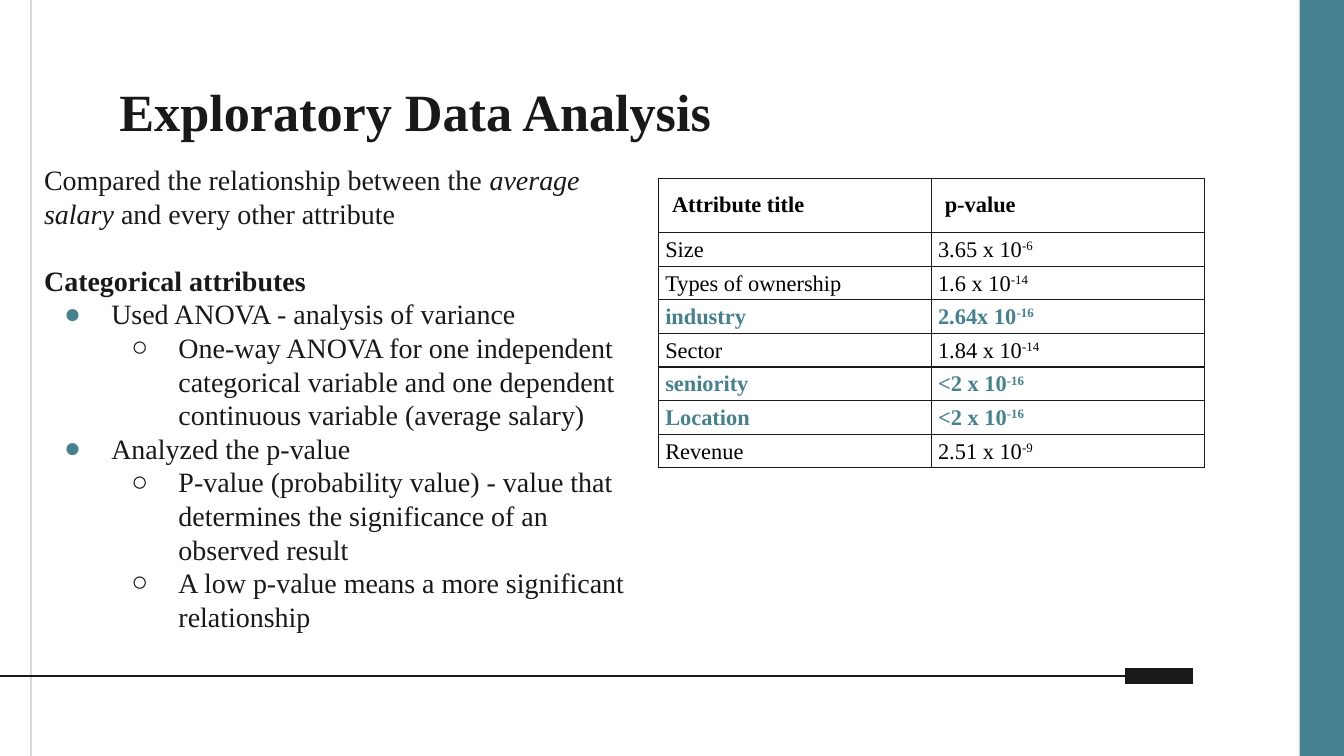
from lxml.etree import SubElement
from pptx import Presentation
from pptx.dml.color import RGBColor
from pptx.enum.shapes import MSO_CONNECTOR, MSO_SHAPE
from pptx.oxml.ns import qn
from pptx.util import Inches, Pt

TEAL = RGBColor(0x45, 0x81, 0x8E)
INK = RGBColor(0x19, 0x19, 0x19)
BLACK = RGBColor(0, 0, 0)
PALE_GREY = RGBColor(0xD9, 0xD9, 0xD9)
WHITE = RGBColor(0xFF, 0xFF, 0xFF)
FONT = "Times New Roman"
SLIDE_WIDTH = Inches(10)
SLIDE_HEIGHT = SLIDE_WIDTH * 9 // 16

# Bullet levels: character, colour, left indent
TOPIC = ("●", TEAL, 0.5)
DETAIL = ("○", INK, 1)
BULLETS = [
    (TOPIC, "Used ANOVA - analysis of variance"),
    (DETAIL, "One-way ANOVA for one independent categorical variable and one "
             "dependent continuous variable (average salary)"),
    (TOPIC, "Analyzed the p-value"),
    (DETAIL, "P-value (probability value) - value that determines the "
             "significance of an observed result"),
    (DETAIL, "A low p-value means a more significant relationship"),
]

# Attribute, p-value base, exponent, highlighted
P_VALUES = [
    ("Size", "3.65 x 10", "-6", False),
    ("Types of ownership", "1.6 x 10", "-14", False),
    ("industry", "2.64x 10", "-16", True),
    ("Sector", "1.84 x 10", "-14", False),
    ("seniority", "<2 x 10", "-16", True),
    ("Location", "<2 x 10", "-16", True),
    ("Revenue", "2.51 x 10", "-9", False),
]


def add_text(paragraph, text, size=15, color=INK, bold=False, italic=False,
             superscript=False):
    run = paragraph.add_run()
    run.text = text
    run.font.name = FONT
    run.font.size = Pt(size)
    run.font.color.rgb = color
    run.font.bold = bold
    run.font.italic = italic
    if superscript:
        run._r.get_or_add_rPr().set("baseline", "30000")


def add_text_frame(slide, left, top, width, height):
    box = slide.shapes.add_textbox(Inches(left), Inches(top),
                                   Inches(width), Inches(height))
    frame = box.text_frame
    frame.word_wrap = True
    frame.margin_left = frame.margin_right = Inches(0.1)
    frame.margin_top = frame.margin_bottom = Inches(0.1)
    return frame


def set_bullet(paragraph, character, color, indent):
    props = paragraph._p.get_or_add_pPr()
    props.set("marL", str(Inches(indent)))
    props.set("indent", str(Inches(-0.35)))
    bullet_color = SubElement(props, qn("a:buClr"))
    SubElement(bullet_color, qn("a:srgbClr"), val=str(color))
    SubElement(props, qn("a:buFont"), typeface=FONT)
    SubElement(props, qn("a:buChar"), char=character)


def add_line(slide, start, end, color, weight):
    line = slide.shapes.add_connector(
        MSO_CONNECTOR.STRAIGHT, *(Inches(v) for v in (*start, *end)))
    line.line.color.rgb = color
    line.line.width = Pt(weight)
    SubElement(line._element.spPr, qn("a:effectLst"))


def add_decoration(slide):
    side_band = slide.shapes.add_shape(MSO_SHAPE.RECTANGLE, Inches(9.67), 0,
                                       Inches(0.33), SLIDE_HEIGHT)
    side_band.shadow.inherit = False
    side_band.fill.solid()
    side_band.fill.fore_color.rgb = TEAL
    side_band.line.fill.background()
    add_line(slide, (0.23, -0.04), (0.23, 5.66), PALE_GREY, 0.75)
    add_line(slide, (8.88, 5.03), (8.37, 5.03), INK, 9)
    add_line(slide, (8.37, 5.03), (-0.06, 5.03), INK, 0.75)


def add_body(slide):
    frame = add_text_frame(slide, 0.23, 1.11, 4.67, 3.92)
    intro = frame.paragraphs[0]
    add_text(intro, "Compared the relationship between the ")
    add_text(intro, "average salary", italic=True)
    add_text(intro, " and every other attribute")

    heading = frame.add_paragraph()
    heading.space_before = Pt(18)
    add_text(heading, "Categorical attributes", bold=True)

    for level, text in BULLETS:
        point = frame.add_paragraph()
        point.level = 1 if level is DETAIL else 0
        set_bullet(point, *level)
        add_text(point, text)


def format_cell(cell, side_inset, end_inset):
    """Set insets, white fill and a thin border on every side."""
    cell.margin_left = cell.margin_right = Inches(side_inset)
    cell.margin_top = cell.margin_bottom = Inches(end_inset)
    props = cell._tc.get_or_add_tcPr()
    for side in ("a:lnL", "a:lnR", "a:lnT", "a:lnB"):
        border = SubElement(props, qn(side), w=str(Pt(0.75)))
        fill = SubElement(border, qn("a:solidFill"))
        SubElement(fill, qn("a:srgbClr"), val=str(INK))
    cell.fill.solid()
    cell.fill.fore_color.rgb = WHITE


def add_p_value_table(slide):
    row_count = len(P_VALUES) + 1
    table = slide.shapes.add_table(row_count, 2, Inches(4.9), Inches(1.33),
                                   Inches(4.06), Inches(2.06)).table
    for column in table.columns:
        column.width = Inches(2.03)
    for index, row in enumerate(table.rows):
        row.height = Inches(0.25 if index else 0.31)

    for cell, title in zip(table.rows[0].cells, ("Attribute title", "p-value")):
        format_cell(cell, 0.1, 0.1)
        add_text(cell.text_frame.paragraphs[0], title, size=12, color=BLACK,
                 bold=True)

    for index, (attribute, base, exponent, highlighted) in enumerate(P_VALUES, 1):
        style = {"size": 12, "color": TEAL if highlighted else BLACK,
                 "bold": highlighted}
        cells = table.rows[index].cells
        for cell, text in zip(cells, (attribute, base)):
            format_cell(cell, 0.05, 0.01)
            paragraph = cell.text_frame.paragraphs[0]
            paragraph.line_spacing = 1.15
            add_text(paragraph, text, **style)
        add_text(cells[1].text_frame.paragraphs[0], exponent,
                 superscript=True, **style)


def main():
    presentation = Presentation()
    presentation.slide_width = SLIDE_WIDTH
    presentation.slide_height = SLIDE_HEIGHT
    slide = presentation.slides.add_slide(presentation.slide_layouts[6])

    add_decoration(slide)
    title = add_text_frame(slide, 0.79, 0.49, 8.43, 0.63)
    add_text(title.paragraphs[0], "Exploratory Data Analysis", size=28, bold=True)
    add_body(slide)
    add_p_value_table(slide)
    presentation.save("out.pptx")


if __name__ == "__main__":
    main()
